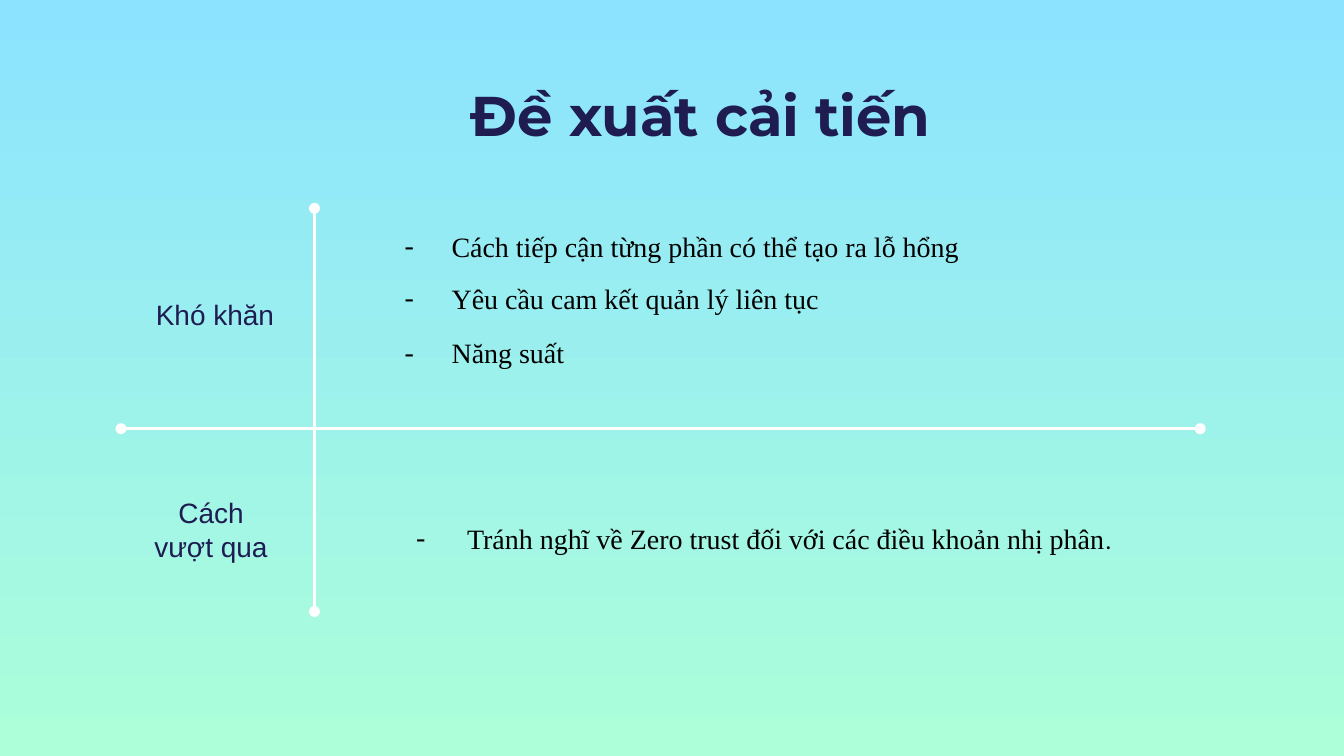
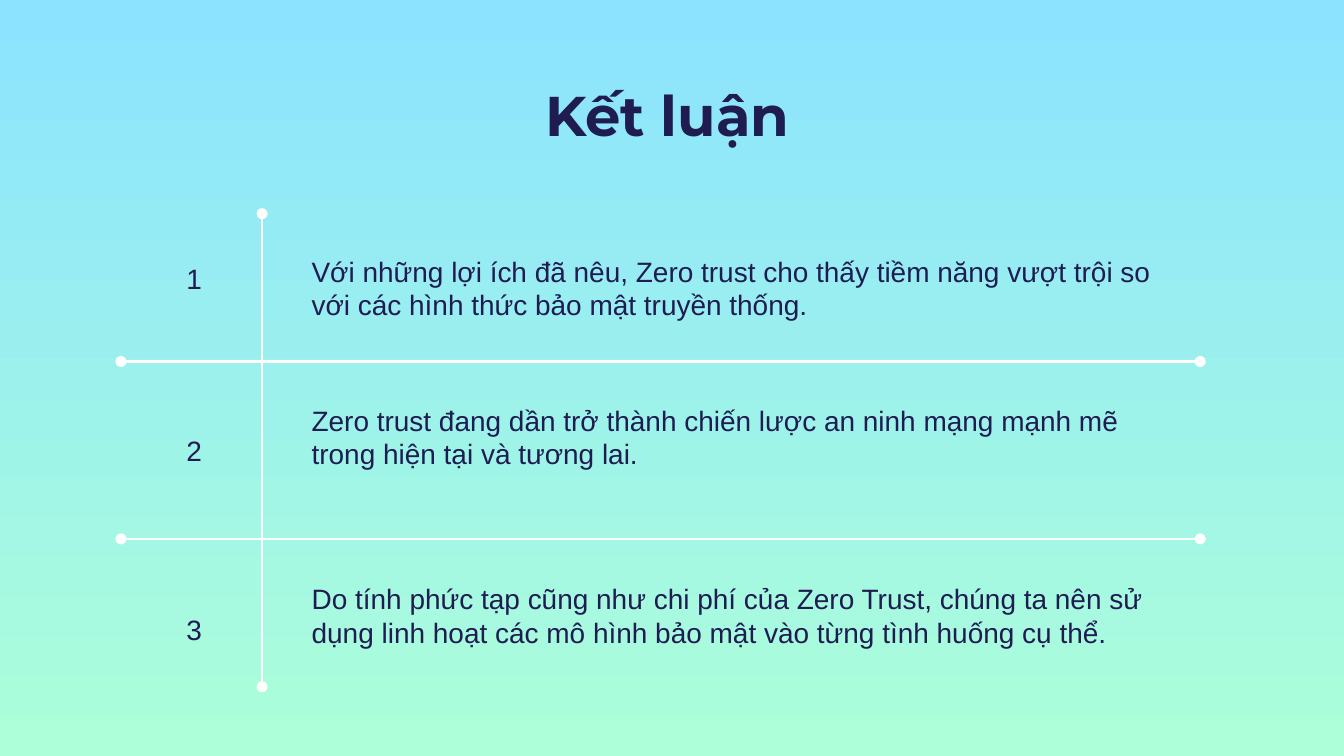
from dataclasses import dataclass

from lxml import etree
from pptx import Presentation
from pptx.dml.color import RGBColor
from pptx.enum.shapes import MSO_CONNECTOR
from pptx.enum.text import MSO_ANCHOR, MSO_AUTO_SIZE, PP_ALIGN
from pptx.oxml.ns import qn
from pptx.util import Emu, Pt

STRAIGHT = MSO_CONNECTOR.STRAIGHT
MIDDLE, BOTTOM = MSO_ANCHOR.MIDDLE, MSO_ANCHOR.BOTTOM
LEFT, CENTER = PP_ALIGN.LEFT, PP_ALIGN.CENTER
NO_AUTOFIT = MSO_AUTO_SIZE.NONE

EMU_PER_PX = 4572  # 200 px to the inch
SLIDE_WIDTH, SLIDE_HEIGHT = 2000, 1125
TITLE_ONLY, TWO_CONTENT = 5, 3  # layout indexes


def px(value):
    return Emu(value * EMU_PER_PX)


@dataclass(frozen=True)
class Theme:
    sky: str = "8BE3FF"
    mint: str = "ACFFD9"
    navy: str = "1F1C51"
    black: str = "000000"
    white: str = "FFFFFF"
    title_font: str = "Montserrat"
    text_font: str = "Arial"
    list_font: str = "Times New Roman"
    stop_font: str = "Calibri"
    title_size: int = 30
    text_size: int = 15
    stop_size: int = 13
    line_width: float = 1.5
    inset: int = 20
    list_spacing: float = 1.08


class Deck:
    """Holds the style and the current slide."""

    def __init__(self, theme):
        self.theme = theme
        self.presentation = Presentation()
        self.presentation.slide_width = px(SLIDE_WIDTH)
        self.presentation.slide_height = px(SLIDE_HEIGHT)
        self.slide = None
        self.paint_background()

    def paint_background(self):
        fill = self.presentation.slide_master.background.fill
        fill.gradient()
        fill.gradient_angle = 270
        for stop, color in zip(fill.gradient_stops, (self.theme.sky, self.theme.mint)):
            stop.color.rgb = RGBColor.from_string(color)

    def add_slide(self, layout, title, title_left):
        layouts = self.presentation.slide_layouts
        self.slide = self.presentation.slides.add_slide(layouts[layout])
        shape = self.slide.shapes.title
        self.place(shape, (title_left, 80, 1266, 160))
        paragraph = self.prepare_frame(shape, BOTTOM).paragraphs[0]
        paragraph.alignment = CENTER
        self.add_run(paragraph, title, self.theme.title_font,
                     self.theme.title_size, self.theme.navy, bold=True)

    def place(self, shape, box):
        shape.left, shape.top, shape.width, shape.height = map(px, box)

    def prepare_frame(self, shape, anchor):
        frame = shape.text_frame
        frame.word_wrap = True
        frame.auto_size = NO_AUTOFIT
        frame.vertical_anchor = anchor
        frame.margin_left = frame.margin_right = px(self.theme.inset)
        frame.margin_top = frame.margin_bottom = px(self.theme.inset)
        return frame

    def add_run(self, paragraph, text, font, size, color, bold=False):
        run = paragraph.add_run()
        run.text = text
        run.font.name = font
        run.font.size = Pt(size)
        run.font.bold = bold
        run.font.color.rgb = RGBColor.from_string(color)

    def add_text(self, box, text, alignment=LEFT, anchor=BOTTOM):
        shape = self.slide.shapes.add_textbox(*map(px, box))
        paragraph = self.prepare_frame(shape, anchor).paragraphs[0]
        paragraph.alignment = alignment
        self.add_run(paragraph, text, self.theme.text_font,
                     self.theme.text_size, self.theme.navy)

    def add_label(self, box, text):
        self.add_text(box, text, CENTER, MIDDLE)

    def add_list(self, index, box, items, indent, hanging):
        """Fill a body placeholder; an item is (runs, space before, space after)."""
        shape = self.slide.placeholders[index]
        self.place(shape, box)
        frame = self.prepare_frame(shape, BOTTOM)
        for number, (runs, before, after) in enumerate(items):
            paragraph = frame.add_paragraph() if number else frame.paragraphs[0]
            paragraph.alignment = LEFT
            paragraph.line_spacing = self.theme.list_spacing
            paragraph.space_before, paragraph.space_after = Pt(before), Pt(after)
            self.add_dash(paragraph, indent, hanging)
            for text, font, size in runs:
                self.add_run(paragraph, text, font, size, self.theme.black)

    def add_dash(self, paragraph, indent, hanging):
        properties = paragraph._p.get_or_add_pPr()
        properties.set("marL", str(px(indent)))
        properties.set("indent", str(px(-hanging)))
        color = etree.SubElement(properties, qn("a:buClr"))
        etree.SubElement(color, qn("a:srgbClr"), val=self.theme.black)
        etree.SubElement(properties, qn("a:buFont"), typeface=self.theme.list_font)
        etree.SubElement(properties, qn("a:buChar"), char="-")

    def add_line(self, start_x, start_y, end_x, end_y):
        ends = map(px, (start_x, start_y, end_x, end_y))
        connector = self.slide.shapes.add_connector(STRAIGHT, *ends)
        connector.line.color.rgb = RGBColor.from_string(self.theme.white)
        connector.line.width = Pt(self.theme.line_width)
        properties = connector._element.spPr
        outline = properties.find(qn("a:ln"))
        for tag in ("a:headEnd", "a:tailEnd"):
            etree.SubElement(outline, qn(tag), type="oval")
        etree.SubElement(properties, qn("a:effectLst"))

    def add_row_line(self, y):
        self.add_line(180, y, 1786, y)


def build_improvements(deck):
    theme = deck.theme
    deck.add_slide(TWO_CONTENT, "Đề xuất cải tiến", 410)

    # Row labels
    deck.add_label((210, 382, 220, 172), "Khó khăn")
    deck.add_label((204, 702, 220, 172), "Cách vượt qua")

    # Difficulties and the way past them
    difficulties = (
        ("Cách tiếp cận từng phần có thể tạo ra lỗ hổng", 0, 0),
        ("Yêu cầu cam kết quản lý liên tục", 8, 0),
        ("Năng suất", 10, 8),
    )
    items = [([(text, theme.list_font, theme.text_size)], before, after)
             for text, before, after in difficulties]
    deck.add_list(1, (552, 366, 1342, 204), items, 100, 70)
    solution = [
        ("Tránh nghĩ về Zero trust đối với các điều khoản nhị phân",
         theme.list_font, theme.text_size),
        (".", theme.stop_font, theme.stop_size),
    ]
    deck.add_list(2, (568, 746, 1280, 100), [(solution, 0, 8)], 107, 76)

    # Dividers
    deck.add_line(468, 310, 468, 910)
    deck.add_row_line(638)


def build_conclusion(deck):
    deck.add_slide(TITLE_ONLY, "Kết luận", 360)

    # Numbered statements: number top, statement box, text
    rows = (
        (328, (444, 294, 1342, 204),
         "Với những lợi ích đã nêu, Zero trust cho thấy tiềm năng vượt trội so "
         "với các hình thức bảo mật truyền thống."),
        (584, (444, 620, 1280, 100),
         "Zero trust đang dần trở thành chiến lược an ninh mạng mạnh mẽ "
         "trong hiện tại và tương lai."),
        (850, (444, 850, 1356, 136),
         "Do tính phức tạp cũng như chi phí của Zero Trust, chúng ta nên sử "
         "dụng linh hoạt các mô hình bảo mật vào từng tình huống cụ thể."),
    )
    for number, (top, box, text) in enumerate(rows, start=1):
        deck.add_label((200, top, 178, 172), str(number))
        deck.add_text(box, text)

    # Dividers
    deck.add_line(390, 318, 390, 1022)
    for y in (538, 802):
        deck.add_row_line(y)


def main():
    deck = Deck(Theme())
    build_improvements(deck)
    build_conclusion(deck)
    deck.presentation.save("out.pptx")


if __name__ == "__main__":
    main()
